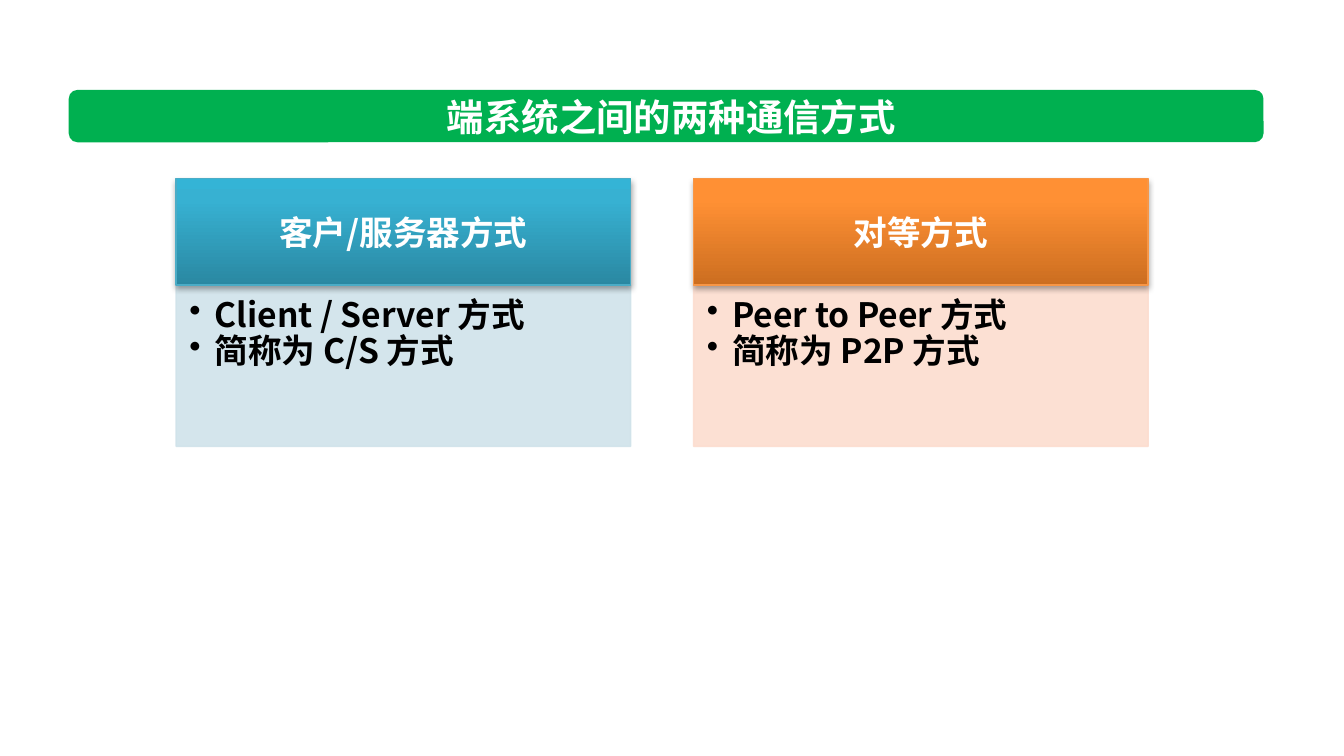
from lxml.etree import SubElement
from pptx import Presentation
from pptx.dml.color import RGBColor
from pptx.enum.shapes import MSO_SHAPE
from pptx.enum.text import MSO_ANCHOR, PP_ALIGN
from pptx.oxml import parse_xml
from pptx.oxml.ns import nsdecls, qn
from pptx.util import Cm, Pt

FONT = "Noto Sans CJK SC"
WHITE = RGBColor(0xFF, 0xFF, 0xFF)
BLACK = RGBColor(0x00, 0x00, 0x00)
GREEN = RGBColor(0x00, 0xB0, 0x50)
BLUE = RGBColor(0x4B, 0xAC, 0xC6)
BLUE_STOPS = [(0, RGBColor(0x2A, 0x88, 0xA2)), (80, RGBColor(0x37, 0xB1, 0xD2)),
              (100, RGBColor(0x34, 0xB4, 0xD6))]
PALE_BLUE = RGBColor(0xD0, 0xE3, 0xEA)
ORANGE = RGBColor(0xF7, 0x96, 0x46)
ORANGE_STOPS = [(0, RGBColor(0xCC, 0x6E, 0x20)), (80, RGBColor(0xFF, 0x90, 0x34)),
                (100, RGBColor(0xFF, 0x91, 0x36))]
PALE_ORANGE = RGBColor(0xFC, 0xDD, 0xCF)

COLUMNS = [
    ("客户/服务器方式", ["Client / Server 方式", "简称为 C/S 方式"],
     BLUE, BLUE_STOPS, PALE_BLUE),
    ("对等方式", ["Peer to Peer 方式", "简称为 P2P 方式"],
     ORANGE, ORANGE_STOPS, PALE_ORANGE),
]


def set_attributes(target, formats):
    for name, value in formats.items():
        setattr(target, name, value)


def add_box(slide, kind, left, top, width, height):
    shape = slide.shapes.add_shape(kind, Cm(left), Cm(top), Cm(width), Cm(height))
    shape.shadow.inherit = False
    return shape


def set_frame(shape, anchor, left, top, right, bottom):
    set_attributes(shape.text_frame, {
        "word_wrap": True, "vertical_anchor": anchor,
        "margin_left": Cm(left), "margin_top": Cm(top),
        "margin_right": Cm(right), "margin_bottom": Cm(bottom)})


def write(paragraph, text, size, color, align):
    paragraph.alignment = align
    run = paragraph.add_run()
    run.text = text
    set_attributes(run.font, {"name": FONT, "size": Pt(size), "bold": True})
    run.font.color.rgb = color
    SubElement(run.font._element, qn("a:ea"), typeface=FONT)


def set_gradient(shape, stops):
    stop_xml = "".join(
        f'<a:gs pos="{position * 1000}"><a:srgbClr val="{color}"/></a:gs>'
        for position, color in stops)
    gradient = parse_xml(
        f'<a:gradFill {nsdecls("a")} rotWithShape="1"><a:gsLst>{stop_xml}</a:gsLst>'
        '<a:lin ang="16200000" scaled="0"/></a:gradFill>')
    shape._element.spPr.find(qn("a:prstGeom")).addnext(gradient)


def add_shadow(shape):
    effects = shape._element.spPr.find(qn("a:effectLst"))
    effects.append(parse_xml(
        f'<a:outerShdw {nsdecls("a")} blurRad="40000" dist="23000" dir="5400000" '
        'rotWithShape="0"><a:srgbClr val="000000"><a:alpha val="35000"/>'
        '</a:srgbClr></a:outerShdw>'))


def set_opacity(color_format_parent, percent):
    for color in color_format_parent.iter(qn("a:srgbClr")):
        SubElement(color, qn("a:alpha"), val=str(percent * 1000))


def add_bullet(paragraph):
    properties = paragraph._p.get_or_add_pPr()
    set_attributes(paragraph, {"line_spacing": 0.9, "level": 1})
    properties.set("marL", str(Cm(0.48)))
    properties.set("indent", str(-Cm(0.48)))
    SubElement(properties, qn("a:buChar"), char="•")


def add_title_bar(slide, left, top, width, height):
    bar = add_box(slide, MSO_SHAPE.ROUNDED_RECTANGLE, left, top, width, height)
    bar.fill.solid()
    bar.fill.fore_color.rgb = GREEN
    bar.line.fill.background()

    # Title text, set slightly right of the bar's centre
    title = slide.shapes.add_textbox(Cm(left + 2.18), Cm(top), Cm(18.42), Cm(height))
    set_frame(title, MSO_ANCHOR.MIDDLE, 0.25, 0, 0.25, 0)
    write(title.text_frame.paragraphs[0], "端系统之间的两种通信方式", 20, WHITE,
          PP_ALIGN.CENTER)


def add_column(slide, left, top, width, height, content):
    heading, points, line_color, stops, pale_color = content
    header_height = 2.01

    # Body panel
    body = add_box(slide, MSO_SHAPE.RECTANGLE, left, top + header_height, width,
                   height - header_height)
    body.fill.solid()
    body.fill.fore_color.rgb = pale_color
    body.line.color.rgb = pale_color
    body.line.width = Pt(0.75)
    set_opacity(body._element.spPr, 90)
    set_frame(body, MSO_ANCHOR.TOP, 0.25, 0.25, 0.36, 0.41)
    for index, point in enumerate(points):
        frame = body.text_frame
        paragraph = frame.add_paragraph() if index else frame.paragraphs[0]
        add_bullet(paragraph)
        write(paragraph, point, 18, BLACK, PP_ALIGN.LEFT)

    # Header, whose shadow falls on the body
    header = add_box(slide, MSO_SHAPE.RECTANGLE, left, top, width, header_height)
    set_gradient(header, stops)
    header.line.color.rgb = line_color
    header.line.width = Pt(0.75)
    add_shadow(header)
    set_frame(header, MSO_ANCHOR.MIDDLE, 0.36, 0.2, 0.36, 0.2)
    write(header.text_frame.paragraphs[0], heading, 18, WHITE, PP_ALIGN.CENTER)


def main():
    presentation = Presentation()
    presentation.slide_width = Cm(25.4)
    presentation.slide_height = Cm(14.29)
    slide = presentation.slides.add_slide(presentation.slide_layouts[6])

    add_title_bar(slide, 1.3, 1.7, 22.58, 0.99)
    column_width, gap = 8.59, 1.19
    for index, content in enumerate(COLUMNS):
        left = 3.33 + index * (column_width + gap)
        add_column(slide, left, 3.38, column_width, 5.06, content)

    presentation.save("out.pptx")


if __name__ == "__main__":
    main()
